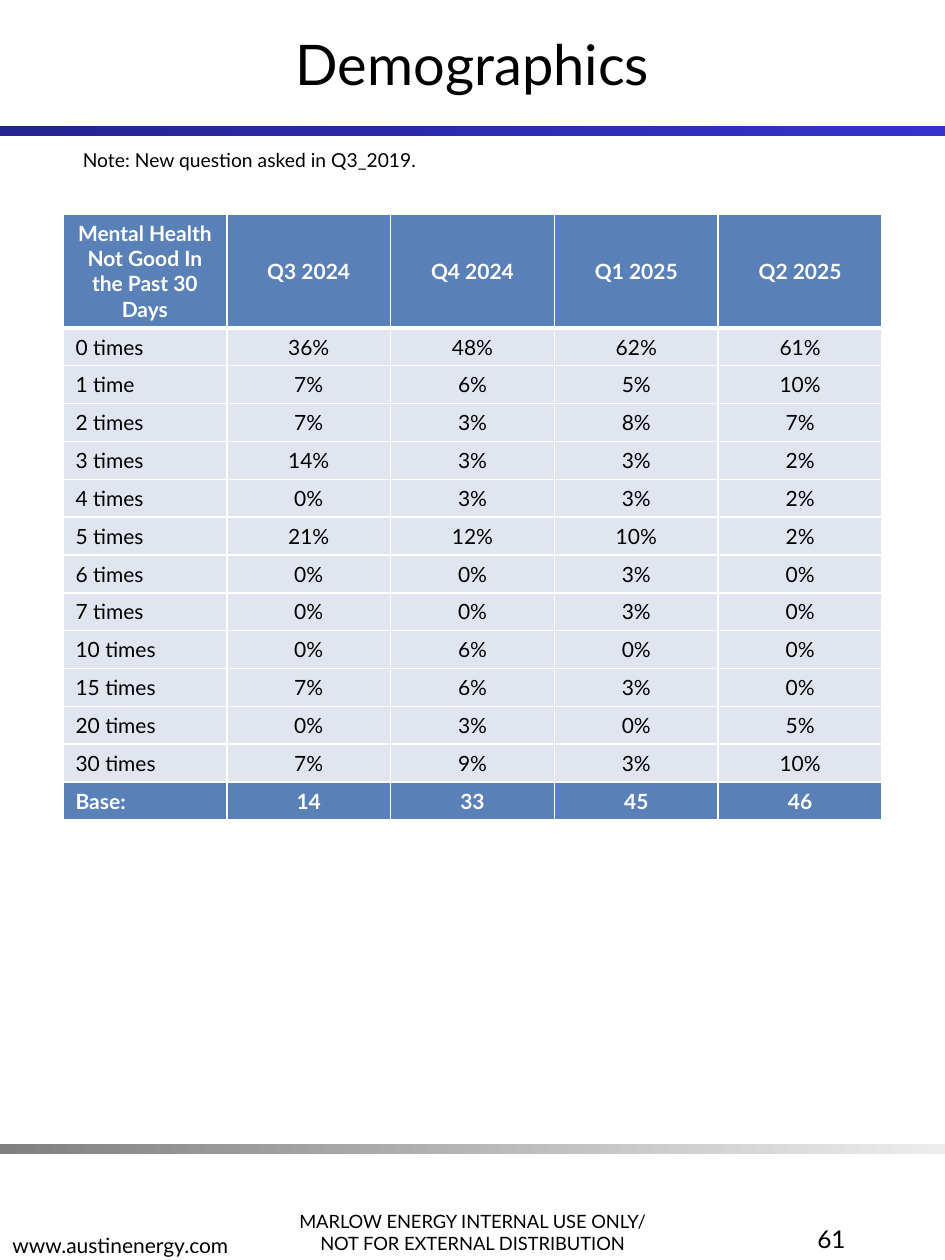
from dataclasses import dataclass

from lxml.etree import SubElement
from pptx import Presentation
from pptx.dml.color import RGBColor
from pptx.enum.shapes import MSO_SHAPE as Shape
from pptx.enum.text import MSO_ANCHOR as Anchor, PP_ALIGN as Align
from pptx.oxml.ns import qn
from pptx.util import Cm, Pt


@dataclass(frozen=True)
class Theme:
    font: str = "Lato"
    ink: str = "000000"
    white: str = "FFFFFF"
    header: str = "5A80B8"
    band: str = "E0E5F0"
    top_bar: tuple = ("242492", "3333CC")
    bottom_bar: tuple = ("808080", "EDEDED")
    title: float = 32
    page: float = 14
    body: float = 12
    note: float = 11
    notice: float = 10.5
    grid: float = 1
    header_rule: float = 3


THEME = Theme()
WIDTH, HEIGHT = 19.05, 25.4
BAR_HEIGHT = 0.2

HEADINGS = ["Mental Health Not Good In the Past 30 Days",
            "Q3 2024", "Q4 2024", "Q1 2025", "Q2 2025"]
SHARES = {
    "0 times": (36, 48, 62, 61),
    "1 time": (7, 6, 5, 10),
    "2 times": (7, 3, 8, 7),
    "3 times": (14, 3, 3, 2),
    "4 times": (0, 3, 3, 2),
    "5 times": (21, 12, 10, 2),
    "6 times": (0, 0, 3, 0),
    "7 times": (0, 0, 3, 0),
    "10 times": (0, 6, 0, 0),
    "15 times": (7, 6, 3, 0),
    "20 times": (0, 3, 0, 5),
    "30 times": (7, 9, 3, 10),
}
BASES = ["Base:", 14, 33, 45, 46]


def write(frame, text, size=THEME.body, color=THEME.ink, bold=False,
          align=Align.LEFT):
    """Fill a text frame, one paragraph for each line of text."""
    frame.word_wrap = True
    for number, line in enumerate(text.split("\n")):
        paragraph = frame.paragraphs[0] if number == 0 else frame.add_paragraph()
        paragraph.alignment = align
        run = paragraph.add_run()
        run.text = line
        run.font.name = THEME.font
        run.font.size = Pt(size)
        run.font.bold = bold
        run.font.color.rgb = RGBColor.from_string(color)


def add_label(slide, box, text, anchor=Anchor.TOP, **style):
    frame = slide.shapes.add_textbox(*map(Cm, box)).text_frame
    frame.vertical_anchor = anchor
    write(frame, text, **style)


def add_bar(slide, box, colors):
    bar = slide.shapes.add_shape(Shape.RECTANGLE, *map(Cm, box))
    bar.shadow.inherit = False
    bar.line.fill.background()
    bar.fill.gradient()
    bar.fill.gradient_angle = 0
    for stop, color in zip(bar.fill.gradient_stops, colors):
        stop.color.rgb = RGBColor.from_string(color)


def set_borders(cell, **widths):
    properties = cell._tc.get_or_add_tcPr()
    for side in "LRTB":
        line = SubElement(properties, qn(f"a:ln{side}"),
                          w=str(Pt(widths.get(side, THEME.grid))))
        fill = SubElement(line, qn("a:solidFill"))
        SubElement(fill, qn("a:srgbClr"), val=THEME.white)


def add_header(slide, box):
    left, top, width, height = box
    title = slide.shapes.title
    title.left, title.top, title.width, title.height = map(Cm, box)
    title.text_frame.vertical_anchor = Anchor.MIDDLE
    write(title.text_frame, "Demographics", size=THEME.title, align=Align.CENTER)
    add_bar(slide, (left, top + height, width, BAR_HEIGHT), THEME.top_bar)


def add_share_table(slide, box, header_height=2.29):
    rows = [HEADINGS]
    rows += [[label, *(f"{share}%" for share in shares)]
             for label, shares in SHARES.items()]
    rows.append(BASES)
    last = len(rows) - 1
    table = slide.shapes.add_table(len(rows), len(HEADINGS), *map(Cm, box)).table
    for column in table.columns:
        column.width = Cm(box[2] / len(HEADINGS))

    for r, values in enumerate(rows):
        table.rows[r].height = Cm((box[3] - header_height) / last if r
                                  else header_height)
        strong = r in (0, last)
        # The thick rule lies between the headings and the first answer
        rule = {0: {"B": THEME.header_rule}, 1: {"T": THEME.header_rule}}.get(r, {})
        for c, value in enumerate(values):
            cell = table.cell(r, c)
            cell.vertical_anchor = Anchor.MIDDLE
            set_borders(cell, **rule)
            cell.fill.solid()
            cell.fill.fore_color.rgb = RGBColor.from_string(
                THEME.header if strong else THEME.band)
            write(cell.text_frame, str(value), bold=strong,
                  color=THEME.white if strong else THEME.ink,
                  align=Align.LEFT if r and c == 0 else Align.CENTER)


def add_footer(slide, box):
    left, top, width, _ = box
    add_bar(slide, (left, top, width, BAR_HEIGHT), THEME.bottom_bar)
    add_label(slide, (left + 5.48, top + 0.64, 8.1, 1.7),
              "MARLOW ENERGY INTERNAL USE ONLY/\nNOT FOR EXTERNAL DISTRIBUTION",
              anchor=Anchor.BOTTOM, size=THEME.notice, align=Align.CENTER)
    add_label(slide, (left, top + 0.72, 8.1, 1.7), "www.austinenergy.com",
              anchor=Anchor.BOTTOM)
    add_label(slide, (left + 13.34, top + 1.5, 3.96, 1.7), "61",
              size=THEME.page, align=Align.RIGHT)


def main():
    deck = Presentation()
    deck.slide_width, deck.slide_height = Cm(WIDTH), Cm(HEIGHT)
    slide = deck.slides.add_slide(deck.slide_layouts[5])

    add_header(slide, (0, 0, WIDTH, 2.54))
    add_label(slide, (1.42, 2.87, 16.36, 0.74),
              "Note: New question asked in Q3_2019.", size=THEME.note)
    add_share_table(slide, (1.27, 4.32, 16.51, 12.19))
    add_footer(slide, (0, 23.06, WIDTH, HEIGHT - 23.06))
    deck.save("out.pptx")


if __name__ == "__main__":
    main()
